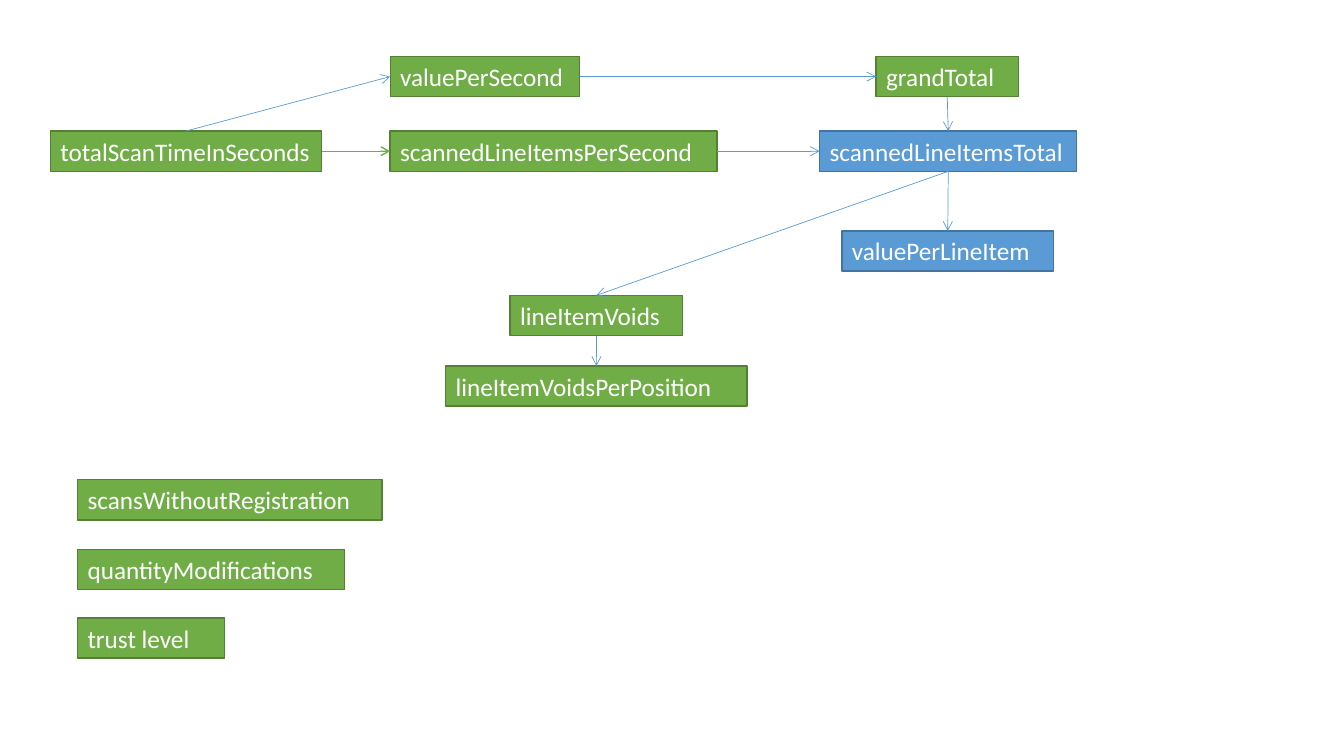
from enum import IntEnum
from typing import NamedTuple

from lxml.etree import SubElement
from pptx import Presentation
from pptx.dml.color import RGBColor
from pptx.enum.shapes import MSO_CONNECTOR, MSO_SHAPE
from pptx.enum.text import MSO_ANCHOR, MSO_AUTO_SIZE, PP_ALIGN
from pptx.oxml.ns import qn
from pptx.shapes.autoshape import Shape
from pptx.slide import Slide
from pptx.util import Inches, Pt

GREEN = RGBColor(0x70, 0xAD, 0x47)
DARK_GREEN = RGBColor(0x53, 0x80, 0x35)
BLUE = RGBColor(0x5B, 0x9B, 0xD5)
DARK_BLUE = RGBColor(0x43, 0x73, 0x9E)
WHITE = RGBColor(0xFF, 0xFF, 0xFF)
BORDERS = {GREEN: DARK_GREEN, BLUE: DARK_BLUE}
BOX_HEIGHT = 0.4


class Side(IntEnum):
    """Connection sites of a rectangle."""
    TOP = 0
    LEFT = 1
    BOTTOM = 2
    RIGHT = 3


class Box(NamedTuple):
    """A labelled feature; lengths in inches."""
    label: str
    left: float
    top: float
    width: float
    color: RGBColor = GREEN


class Arrow(NamedTuple):
    """A dependency between two features; width in points."""
    start: str
    start_side: Side
    end: str
    end_side: Side
    color: RGBColor = BLUE
    width: float = 0.5


BOXES = [
    Box("totalScanTimeInSeconds", 0.5, 1.3, 2.69),
    Box("scannedLineItemsPerSecond", 3.87, 1.3, 3.24),
    Box("scannedLineItemsTotal", 8.13, 1.3, 2.55, BLUE),
    Box("valuePerSecond", 3.87, 0.56, 1.88),
    Box("grandTotal", 8.69, 0.56, 1.41),
    Box("valuePerLineItem", 8.35, 2.29, 2.1, BLUE),
    Box("lineItemVoids", 5.06, 2.93, 1.71),
    Box("lineItemVoidsPerPosition", 4.42, 3.63, 2.99),
    Box("scansWithoutRegistration", 0.77, 4.76, 3.02),
    Box("quantityModifications", 0.77, 5.45, 2.65),
    Box("trust level", 0.77, 6.13, 1.46),
]

ARROWS = [
    Arrow("totalScanTimeInSeconds", Side.RIGHT,
          "scannedLineItemsPerSecond", Side.LEFT, GREEN, 1),
    Arrow("totalScanTimeInSeconds", Side.TOP, "valuePerSecond", Side.LEFT),
    Arrow("valuePerSecond", Side.RIGHT, "grandTotal", Side.LEFT),
    Arrow("scannedLineItemsPerSecond", Side.RIGHT,
          "scannedLineItemsTotal", Side.LEFT),
    Arrow("grandTotal", Side.BOTTOM, "scannedLineItemsTotal", Side.TOP),
    Arrow("scannedLineItemsTotal", Side.BOTTOM, "valuePerLineItem", Side.TOP),
    Arrow("scannedLineItemsTotal", Side.BOTTOM, "lineItemVoids", Side.TOP),
    Arrow("lineItemVoids", Side.BOTTOM, "lineItemVoidsPerPosition", Side.TOP),
]


def draw_box(slide: Slide, box: Box) -> Shape:
    """Draw a feature rectangle with its label and return it."""
    sp = slide.shapes.add_shape(
        MSO_SHAPE.RECTANGLE, Inches(box.left), Inches(box.top),
        Inches(box.width), Inches(BOX_HEIGHT))
    sp.shadow.inherit = False
    sp.fill.solid()
    sp.fill.fore_color.rgb = box.color
    sp.line.color.rgb = BORDERS[box.color]
    sp.line.width = Pt(1)
    tf = sp.text_frame
    tf.text = box.label
    tf.word_wrap = True
    tf.auto_size = MSO_AUTO_SIZE.SHAPE_TO_FIT_TEXT
    tf.vertical_anchor = MSO_ANCHOR.TOP
    tf.margin_right = 0
    p = tf.paragraphs[0]
    p.alignment = PP_ALIGN.LEFT
    font = p.runs[0].font
    font.name = "Calibri"
    font.size = Pt(18)
    font.color.rgb = WHITE
    return sp


def draw_arrow(slide: Slide, arrow: Arrow, shapes: dict[str, Shape]) -> None:
    """Draw an arrow attached to its two feature boxes."""
    cxn = slide.shapes.add_connector(MSO_CONNECTOR.STRAIGHT, 0, 0, 0, 0)
    cxn.begin_connect(shapes[arrow.start], arrow.start_side.value)
    cxn.end_connect(shapes[arrow.end], arrow.end_side.value)
    cxn.line.color.rgb = arrow.color
    cxn.line.width = Pt(arrow.width)
    sp_pr = cxn.element.spPr
    SubElement(sp_pr.find(qn("a:ln")), qn("a:tailEnd"), type="arrow")
    SubElement(sp_pr, qn("a:effectLst"))


def main() -> None:
    """Build the feature dependency slide."""
    prs = Presentation()
    prs.slide_width = Inches(13.33)
    prs.slide_height = Inches(7.5)
    slide = prs.slides.add_slide(prs.slide_layouts.get_by_name("Blank"))
    shapes = {box.label: draw_box(slide, box) for box in BOXES}
    for arrow in ARROWS:
        draw_arrow(slide, arrow, shapes)
    prs.save("out.pptx")


main()
